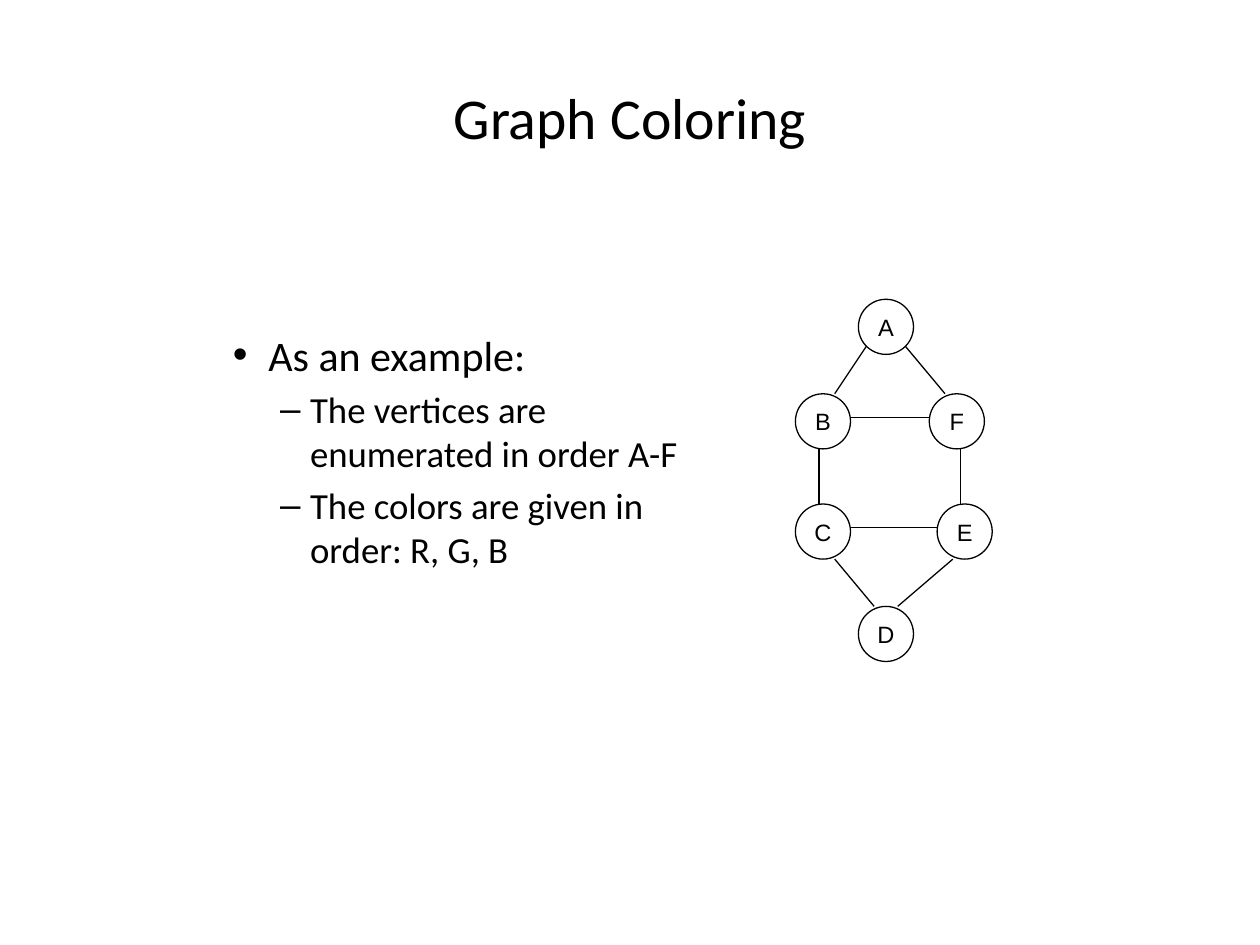
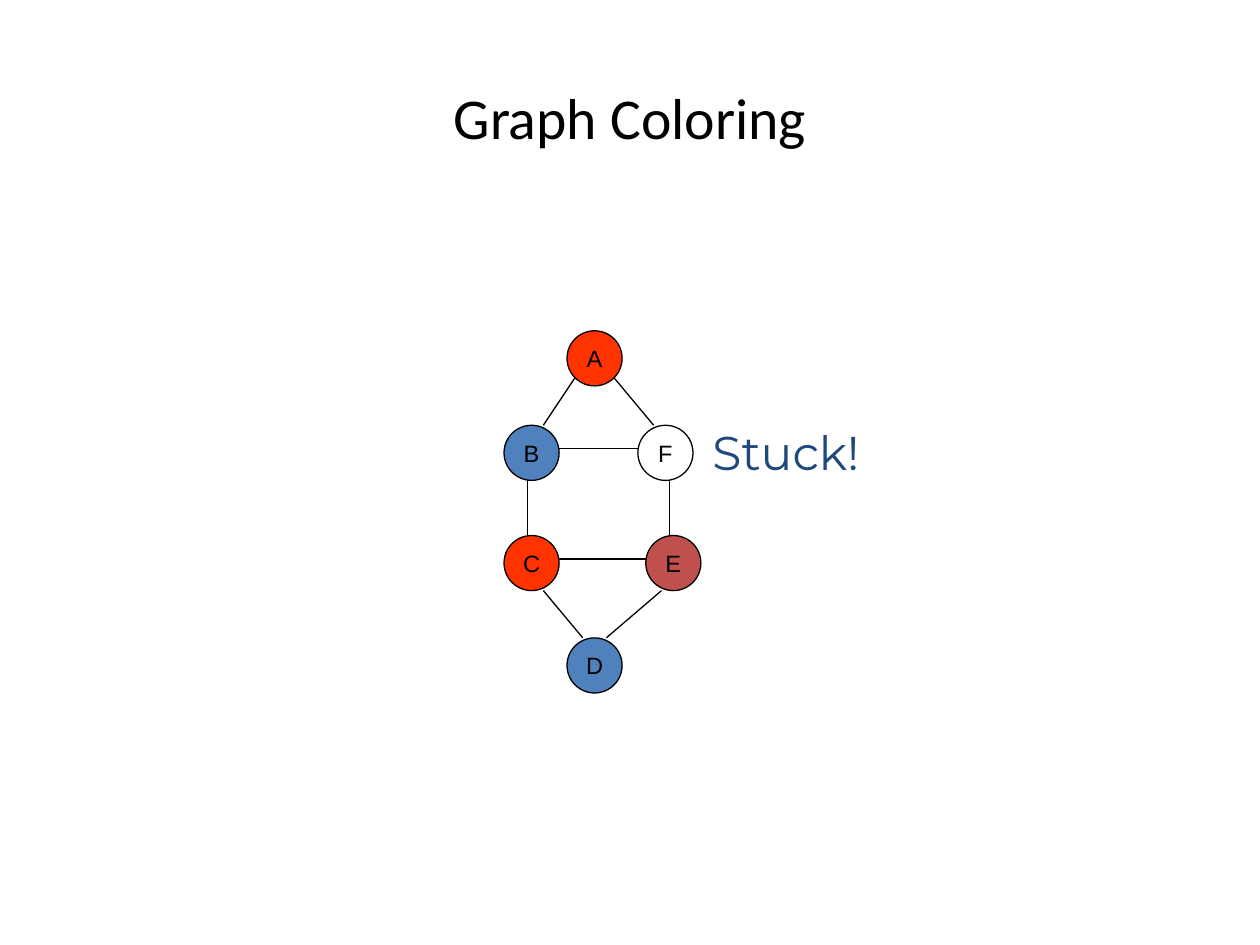
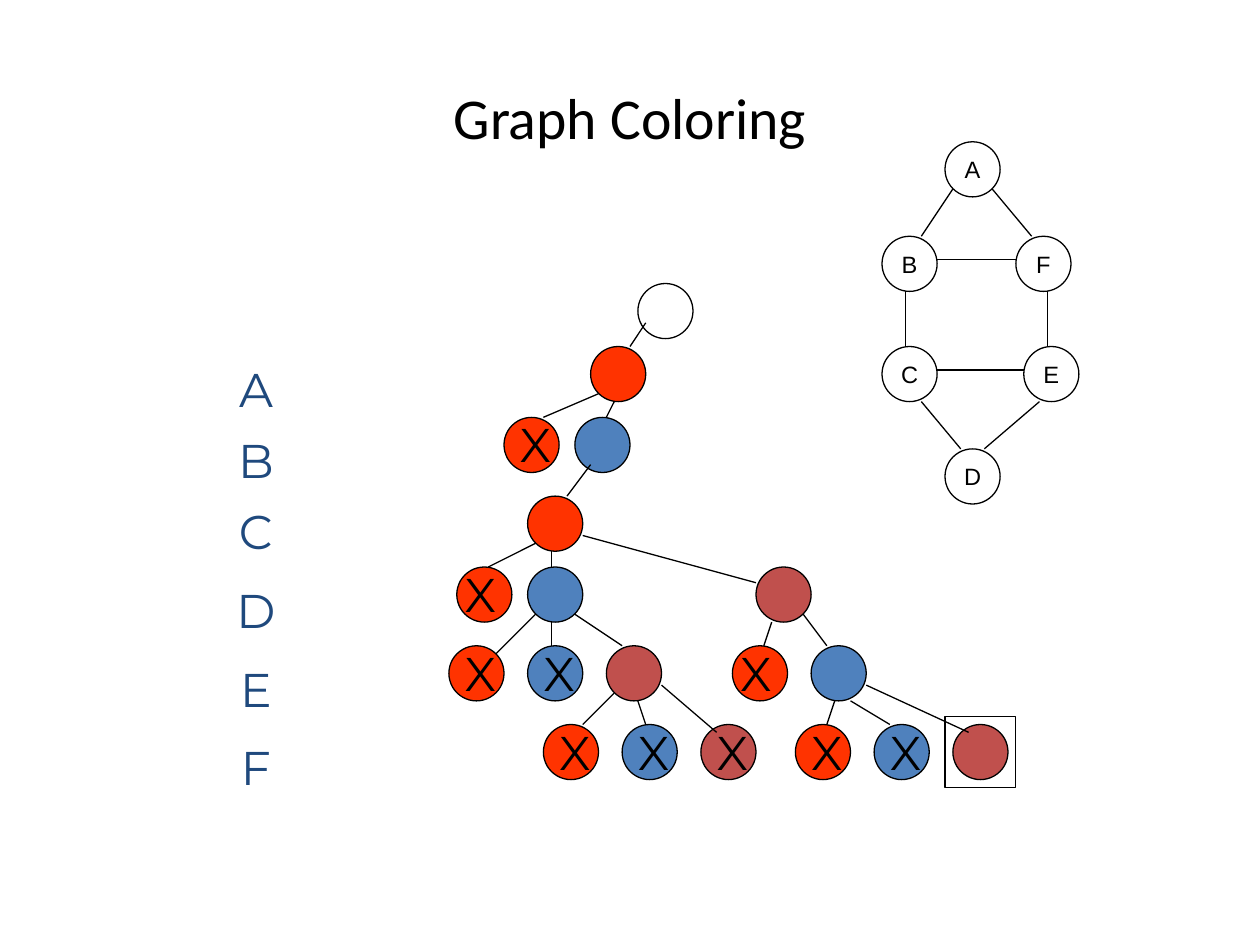
"""Build three slides on graph coloring by backtracking."""
from dataclasses import dataclass

from lxml import etree
from pptx import Presentation
from pptx import util as u
from pptx.dml.color import RGBColor
from pptx.enum import shapes, text
from pptx.oxml.ns import qn

PX = 5715


@dataclass(frozen=True)
class Theme:
    ink: str = "000000"
    navy: str = "1F497D"
    red: str = "FF3300"
    blue: str = "4F81BD"
    rust: str = "C0504D"
    head: str = "Calibri"
    body: str = "Calibri"
    label: str = "Arial"
    mark: str = "Montserrat"
    title: float = 33
    big: float = 24
    mid: float = 21
    large: float = 27
    small: float = 13.5
    gap: float = 4.2
    thin: float = 0.75


T = Theme()
NODE = 70
SPOTS = {"A": (80, 0), "B": (0, 120), "F": (170, 120),
         "C": (0, 260), "E": (180, 260), "D": (80, 390)}
EDGES = [(90, 60, 50, 120), (140, 60, 190, 120), (30, 190, 30, 260),
         (210, 190, 210, 260), (50, 330, 100, 390), (200, 330, 130, 390),
         (70, 290, 180, 290), (70, 150, 170, 150)]
BULLETS = {0: ("•", 45, 45, T.big), 1: ("–", 98, 38, T.mid)}
TREE = {
    360: [(810, None, None)],
    440: [(750, T.red, None)],
    530: [(640, T.red, 0), (730, T.blue, None)],
    630: [(670, T.red, None)],
    720: [(580, T.red, -10), (670, T.blue, None), (960, T.rust, None)],
    820: [(570, T.red, 0), (670, T.blue, 0), (770, T.rust, None),
          (930, T.red, -10), (1030, T.blue, None)],
    920: [(690, T.red, 0), (790, T.blue, 0), (890, T.rust, 0),
          (1010, T.red, 0), (1110, T.blue, 0), (1210, T.rust, None)],
}
TWIGS = [(820, 410, 800, 440), (760, 500, 690, 530), (780, 510, 770, 530),
         (750, 590, 720, 630), (680, 690, 620, 720), (700, 700, 700, 720),
         (740, 680, 960, 740), (680, 780, 630, 830), (700, 790, 700, 820),
         (730, 780, 790, 820), (980, 790, 970, 820), (1020, 780, 1050, 820),
         (780, 880, 740, 920), (810, 890, 820, 920), (840, 870, 910, 930),
         (1060, 890, 1050, 920), (1080, 890, 1130, 920),
         (1100, 870, 1230, 930)]
ROWS = {"A": 450, "B": 540, "C": 630, "D": 730, "E": 830, "F": 930}


def emu(*vals):
    return [u.Emu(v * PX) for v in vals]


def rgb(code):
    return RGBColor.from_string(code)


class Deck:
    def __init__(self, wide, high):
        self.prs = Presentation()
        self.prs.slide_width, self.prs.slide_height = emu(wide, high)

    def page(self, name):
        self.slide = self.prs.slides.add_slide(self.prs.slide_layouts[6])
        frame = self.box(80, 48, 1440, 200, wrap=True)
        frame.vertical_anchor = text.MSO_ANCHOR.MIDDLE
        self.center(frame, name, T.title, T.head, T.ink)

    def box(self, x, y, w, h, wrap=False):
        frame = self.slide.shapes.add_textbox(*emu(x, y, w, h)).text_frame
        frame.word_wrap = wrap
        return frame

    def run(self, para, words, size, face, color):
        run = para.add_run()
        run.text = words
        run.font.size = u.Pt(size)
        run.font.name = face
        run.font.color.rgb = rgb(color)
        return run

    def center(self, frame, words, size, face, color):
        para = frame.paragraphs[0]
        para.alignment = text.PP_ALIGN.CENTER
        return self.run(para, words, size, face, color)

    def mark(self, words, x, y, w, h, color):
        frame = self.box(x, y, w, h)
        frame.margin_left = frame.margin_right = 0
        run = self.center(frame, words, T.large, T.mark, color)
        line = etree.Element(qn("a:ln"), w=str(u.Pt(T.thin)))
        fill = etree.SubElement(line, qn("a:solidFill"))
        etree.SubElement(fill, qn("a:srgbClr"), val=T.ink)
        run._r.get_or_add_rPr().insert(0, line)

    def bullets(self, x, y, w, h, items):
        frame = self.box(x, y, w, h, wrap=True)
        for i, (level, words) in enumerate(items):
            para = frame.add_paragraph() if i else frame.paragraphs[0]
            sign, left, hang, size = BULLETS[level]
            props = para._p.get_or_add_pPr()
            props.set("marL", str(left * PX))
            props.set("indent", str(-hang * PX))
            etree.SubElement(props, qn("a:buFont"), typeface=T.label)
            etree.SubElement(props, qn("a:buChar"), char=sign)
            para.level = level
            if i:
                para.space_before = u.Pt(T.gap)
            self.run(para, words, size, T.body, T.ink)

    def shape(self, kind, x, y, w, h, fill=None):
        shape = self.slide.shapes.add_shape(kind, *emu(x, y, w, h))
        shape.shadow.inherit = False
        if fill:
            shape.fill.solid()
            shape.fill.fore_color.rgb = rgb(fill)
        else:
            shape.fill.background()
        shape.line.color.rgb = rgb(T.ink)
        shape.line.width = u.Pt(T.thin)
        return shape

    def node(self, x, y, fill=None, name=None):
        shape = self.shape(shapes.MSO_SHAPE.OVAL, x, y, NODE, NODE, fill)
        if name:
            frame = shape.text_frame
            frame.word_wrap = False
            frame.vertical_anchor = text.MSO_ANCHOR.MIDDLE
            self.center(frame, name, T.small, T.label, T.ink)

    def line(self, *ends):
        line = self.slide.shapes.add_connector(
            shapes.MSO_CONNECTOR.STRAIGHT, *emu(*ends))
        line.line.color.rgb = rgb(T.ink)
        line.line.width = u.Pt(T.thin)
        etree.SubElement(line._element.spPr, qn("a:effectLst"))

    def graph(self, x, y, fills):
        for name, (dx, dy) in SPOTS.items():
            self.node(x + dx, y + dy, fills.get(name), name)
        for x1, y1, x2, y2 in EDGES:
            self.line(x + x1, y + y1, x + x2, y + y2)

    def tree(self):
        nodes = [(x, y, fill, shift) for y, row in TREE.items()
                 for x, fill, shift in row]
        for x, y, fill, _ in nodes:
            self.node(x, y, fill)
        for twig in TWIGS:
            self.line(*twig)
        for x, y, _, shift in nodes:
            if shift is not None:
                self.mark("X", x + shift, y - 10, 80, 90, T.ink)


def main():
    deck = Deck(1600, 1200)
    name = "Graph Coloring"

    deck.page(name)
    deck.graph(1010, 380, {})
    deck.bullets(280, 410, 650, 540, [
        (0, "As an example:"),
        (1, "The vertices are enumerated in order A-F"),
        (1, "The colors are given in order: R, G, B")])

    deck.page(name)
    deck.graph(640, 420, {"A": T.red, "B": T.blue, "C": T.red,
                          "D": T.blue, "E": T.rust})
    deck.mark("Stuck!", 898, 530, 200, 85, T.navy)

    deck.page(name)
    deck.tree()
    for row, y in ROWS.items():
        deck.mark(row, 300, y, 50, 50, T.navy)
    deck.graph(1120, 180, {})
    deck.shape(shapes.MSO_SHAPE.RECTANGLE, 1200, 910, 90, 90)

    deck.prs.save("out.pptx")


if __name__ == "__main__":
    main()
